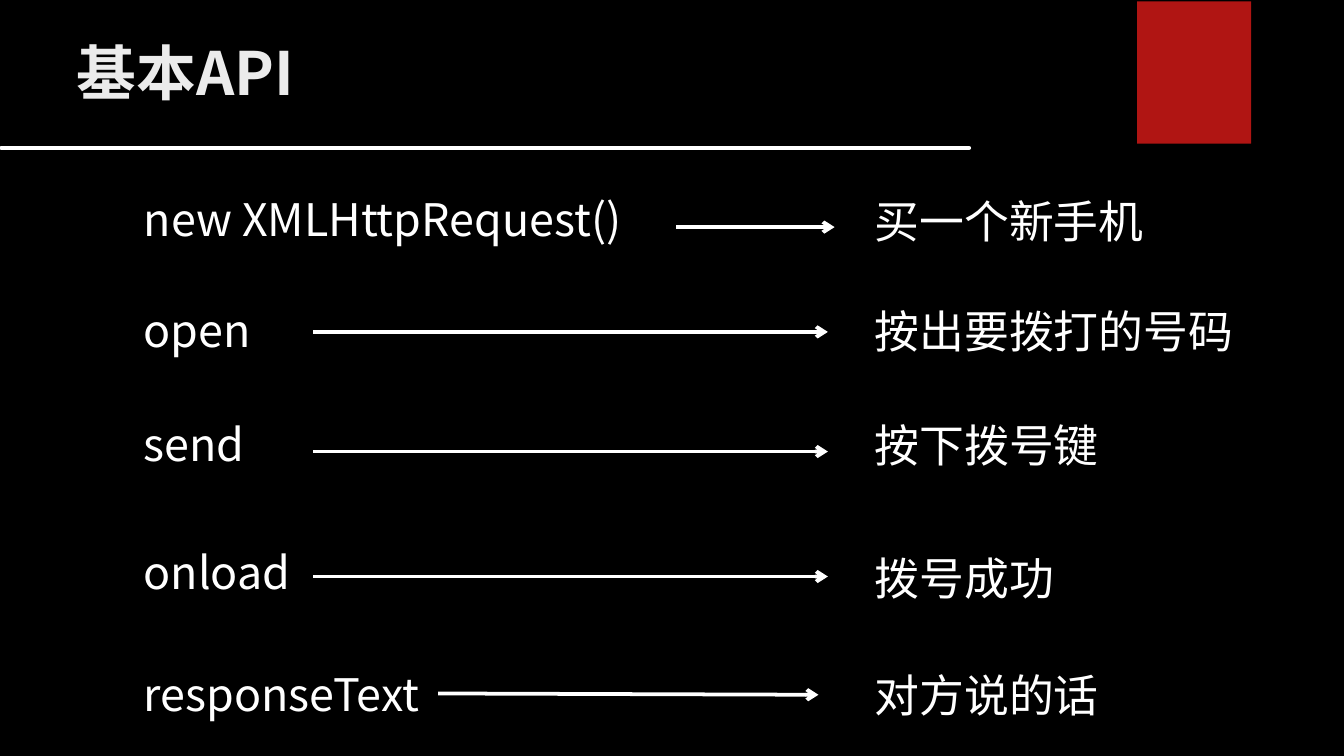
from typing import NamedTuple

from lxml import etree
from pptx import Presentation
from pptx.dml.color import RGBColor
from pptx.enum import shapes, text
from pptx.oxml import ns
from pptx.util import Inches, Pt

BLACK = RGBColor(0x00, 0x00, 0x00)
WHITE = RGBColor(0xFF, 0xFF, 0xFF)
LIGHT = RGBColor(0xEB, 0xEB, 0xEB)
RED = RGBColor(0xB0, 0x15, 0x13)
FONT = "Noto Sans CJK SC"

CALL_LEFT, MEANING_LEFT, ROW_HEIGHT = 0.6, 6.41, 0.51
CALL_INDENT = 0.37


class ApiStep(NamedTuple):
    call: str
    call_top: float
    call_width: float
    meaning: str
    meaning_top: float
    meaning_width: float
    arrow_start: tuple[float, float]
    arrow_end: tuple[float, float]


STEPS = [
    ApiStep("new XMLHttpRequest()", 1.38, 4.28, "买一个新手机", 1.39, 2.22,
            (5.03, 1.69), (6.21, 1.69)),
    ApiStep("open", 2.2, 1.38, "按出要拨打的号码", 2.21, 2.89,
            (2.33, 2.47), (6.16, 2.47)),
    ApiStep("send", 3.05, 1.32, "按下拨号键", 3.06, 1.88,
            (2.33, 3.36), (6.16, 3.36)),
    ApiStep("onload", 4.0, 1.67, "拨号成功", 4.05, 1.55,
            (2.33, 4.29), (6.16, 4.29)),
    ApiStep("responseText", 4.91, 2.74, "对方说的话", 4.92, 1.88,
            (3.26, 5.16), (6.09, 5.17)),
]


def add_text(slide, words: str, left: float, top: float, width: float,
             height: float, size: int = 24, color: RGBColor = WHITE,
             bold: bool = False, wrap: bool = False,
             inset: tuple[float, float] = (0.1, 0.05), indent: float = 0) -> None:
    box = slide.shapes.add_textbox(
        Inches(left), Inches(top), Inches(width), Inches(height))
    frame = box.text_frame
    frame.word_wrap = wrap
    frame.vertical_anchor = text.MSO_ANCHOR.TOP
    frame.margin_left = Inches(inset[0] + indent)
    frame.margin_right = 0
    frame.margin_top = frame.margin_bottom = Inches(inset[1])
    paragraph = frame.paragraphs[0]
    paragraph.alignment = text.PP_ALIGN.LEFT
    run = paragraph.add_run()
    run.text = words
    run.font.size = Pt(size)
    run.font.bold = bold
    run.font.color.rgb = color
    run.font.name = FONT
    # East Asian characters take their own typeface element
    etree.SubElement(run.font._element, ns.qn("a:ea"), typeface=FONT)


def add_line(slide, start: tuple[float, float], end: tuple[float, float],
             width: float, arrow: bool = False) -> None:
    line = slide.shapes.add_connector(
        shapes.MSO_CONNECTOR.STRAIGHT, *map(Inches, start + end))
    line.line.color.rgb = WHITE
    line.line.width = Pt(width)
    outline = line.line._get_or_add_ln()
    if arrow:
        etree.SubElement(outline, ns.qn("a:tailEnd"), type="arrow")
    else:
        outline.set("cap", "rnd")
    etree.SubElement(line._element.spPr, ns.qn("a:effectLst"))


def add_step(slide, step: ApiStep) -> None:
    add_text(slide, step.call, CALL_LEFT, step.call_top, step.call_width,
             ROW_HEIGHT, indent=CALL_INDENT)
    add_text(slide, step.meaning, MEANING_LEFT, step.meaning_top,
             step.meaning_width, ROW_HEIGHT)
    add_line(slide, step.arrow_start, step.arrow_end, 2, arrow=True)


def main() -> None:
    deck = Presentation()
    # Widescreen, 16:9
    deck.slide_width = Inches(10)
    deck.slide_height = deck.slide_width * 9 // 16
    slide = deck.slides.add_slide(deck.slide_layouts[6])
    slide.background.fill.solid()
    slide.background.fill.fore_color.rgb = BLACK

    # Corner ribbon and header rule
    ribbon = slide.shapes.add_shape(
        shapes.MSO_SHAPE.RECTANGLE,
        Inches(8.46), Inches(0.01), Inches(0.85), Inches(1.06))
    ribbon.shadow.inherit = False
    ribbon.fill.solid()
    ribbon.fill.fore_color.rgb = RED
    ribbon.line.fill.background()
    add_line(slide, (0.01, 1.1), (7.21, 1.1), 2.25)

    # Title
    add_text(slide, "基本API", 0.5, 0.23, 9, 0.94, size=32, color=LIGHT,
             bold=True, wrap=True, inset=(0.07, 0.04))

    # API calls and what they mean on a phone
    for step in STEPS:
        add_step(slide, step)

    deck.save("out.pptx")


if __name__ == "__main__":
    main()
